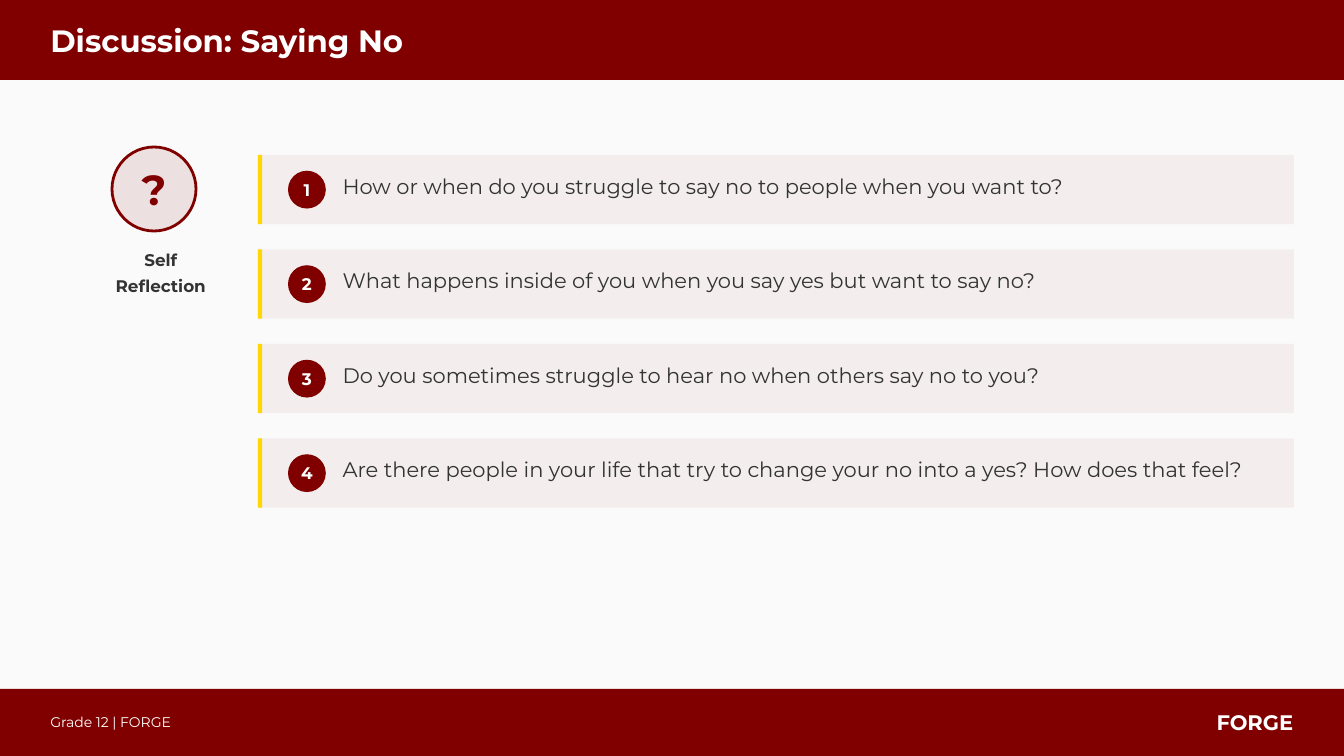
"""Build the "Discussion: Saying No" slide with four numbered questions."""
from lxml.etree import SubElement
from pptx import Presentation
from pptx.dml.color import RGBColor
from pptx.enum.shapes import MSO_SHAPE as Preset
from pptx.enum.text import MSO_ANCHOR as Anchor, PP_ALIGN as Align
from pptx.oxml.ns import qn
from pptx.util import Pt

COLORS = {"paper": "FAFAFA", "maroon": "800000", "gold": "FFD700",
          "ink": "333333", "white": "FFFFFF"}
QUESTIONS = [
    "How or when do you struggle to say no to people when you want to?",
    "What happens inside of you when you say yes but want to say no?",
    "Do you sometimes struggle to hear no when others say no to you?",
    "Are there people in your life that try to change your no into a yes? How does that feel?",
]
WIDTH, HEIGHT = 960, 540
ROW_TOP, ROW_STEP, ROW_HEIGHT, ROW_LEFT = 110.7, 67.5, 49.5, 184.3

deck = Presentation()
deck.slide_width, deck.slide_height = Pt(WIDTH), Pt(HEIGHT)
page = deck.slides.add_slide(deck.slide_layouts[6])


def add_block(preset, left, top, width, height, color, opacity=100):
    """Add a filled shape without outline or shadow."""
    block = page.shapes.add_shape(preset, Pt(left), Pt(top), Pt(width), Pt(height))
    block.shadow.inherit = False
    block.line.fill.background()
    block.fill.solid()
    block.fill.fore_color.rgb = RGBColor.from_string(COLORS[color])
    if opacity < 100:
        tint = block.fill._xPr.find(qn("a:solidFill"))[0]
        SubElement(tint, qn("a:alpha")).set("val", str(opacity * 1000))
    return block


def write(box, text, size, color, bold=False, align=Align.LEFT):
    """Set the text of a box, centred vertically and without margins."""
    frame = box.text_frame
    frame.text = text
    frame.word_wrap = False
    frame.vertical_anchor = Anchor.MIDDLE
    frame.margin_left = frame.margin_right = frame.margin_top = frame.margin_bottom = 0
    for para in frame.paragraphs:
        para.alignment = align
        for span in para.runs:
            span.font.name = "Montserrat"
            span.font.size = Pt(size)
            span.font.bold = bold
            span.font.color.rgb = RGBColor.from_string(COLORS[color])


add_block(Preset.RECTANGLE, 0, 0, WIDTH, HEIGHT, "paper")
add_block(Preset.RECTANGLE, 0, 0, WIDTH, 57, "maroon")
add_block(Preset.RECTANGLE, 0, 492, WIDTH, 48, "maroon")

for text, left, top, width, height, size, bold in [
    ("Discussion: Saying No", 36, 14.4, 276, 28, 22, True),
    ("Grade 12 | FORGE", 36, 509, 98.6, 13.7, 10, False),
    ("FORGE", 869, 507, 67, 18, 15, True),
]:
    box = page.shapes.add_textbox(Pt(left), Pt(top), Pt(width), Pt(height))
    write(box, text, size, "white", bold)

icon = add_block(Preset.OVAL, 80, 105, 60, 60, "maroon", 10)
icon.line.color.rgb = RGBColor.from_string(COLORS["maroon"])
icon.line.width = Pt(2)
write(icon, "?", 30, "maroon", True, Align.CENTER)

caption = page.shapes.add_textbox(Pt(78.5), Pt(175), Pt(72.7), Pt(36))
write(caption, "Self\nReflection", 12, "ink", True, Align.CENTER)
for para in caption.text_frame.paragraphs:
    para.line_spacing = Pt(18)

for number, question in enumerate(QUESTIONS, 1):
    top = ROW_TOP + (number - 1) * ROW_STEP
    add_block(Preset.RECTANGLE, ROW_LEFT, top, 740, ROW_HEIGHT, "maroon", 5)
    add_block(Preset.RECTANGLE, ROW_LEFT, top, 3, ROW_HEIGHT, "gold")
    badge = add_block(Preset.OVAL, 205.7, top + 11.25, 27, 27, "maroon")
    write(badge, str(number), 12, "white", True, Align.CENTER)
    box = page.shapes.add_textbox(Pt(244.7), Pt(top + 13), Pt(654), Pt(18))
    write(box, question, 15, "ink")

deck.save("out.pptx")
